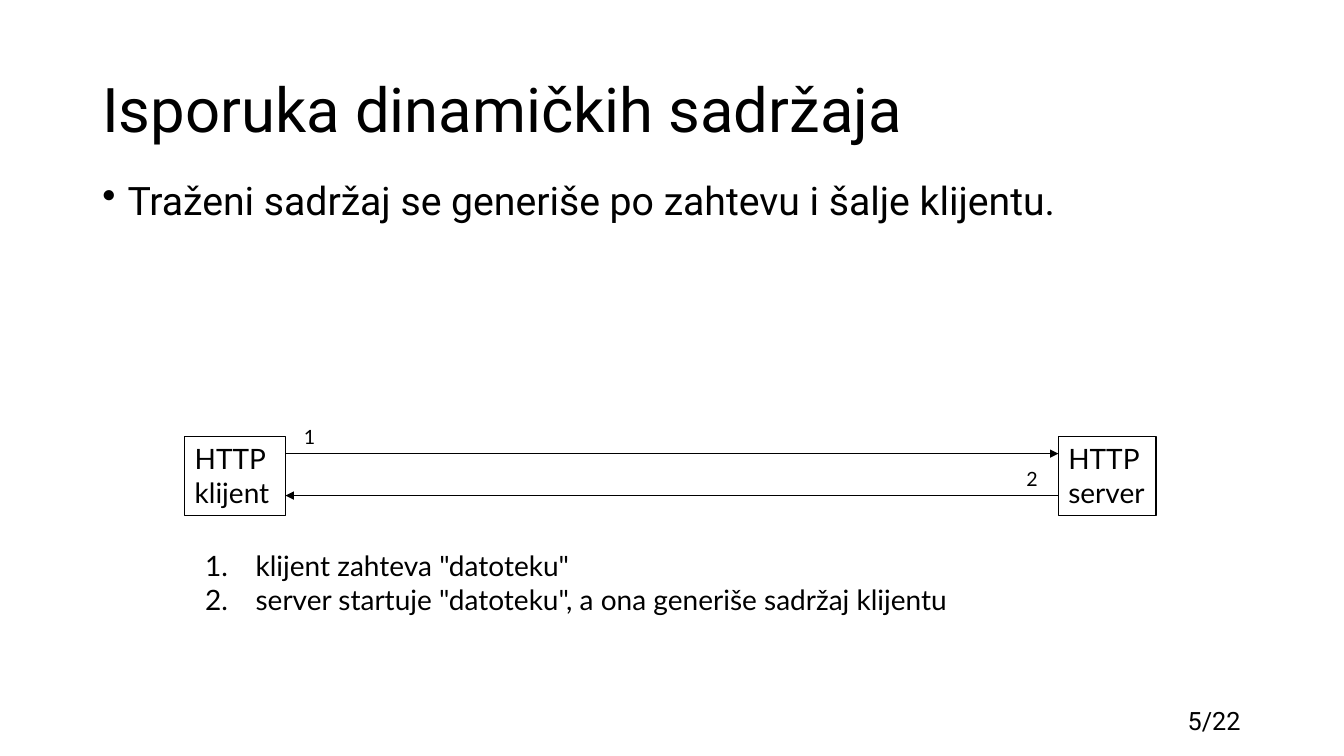
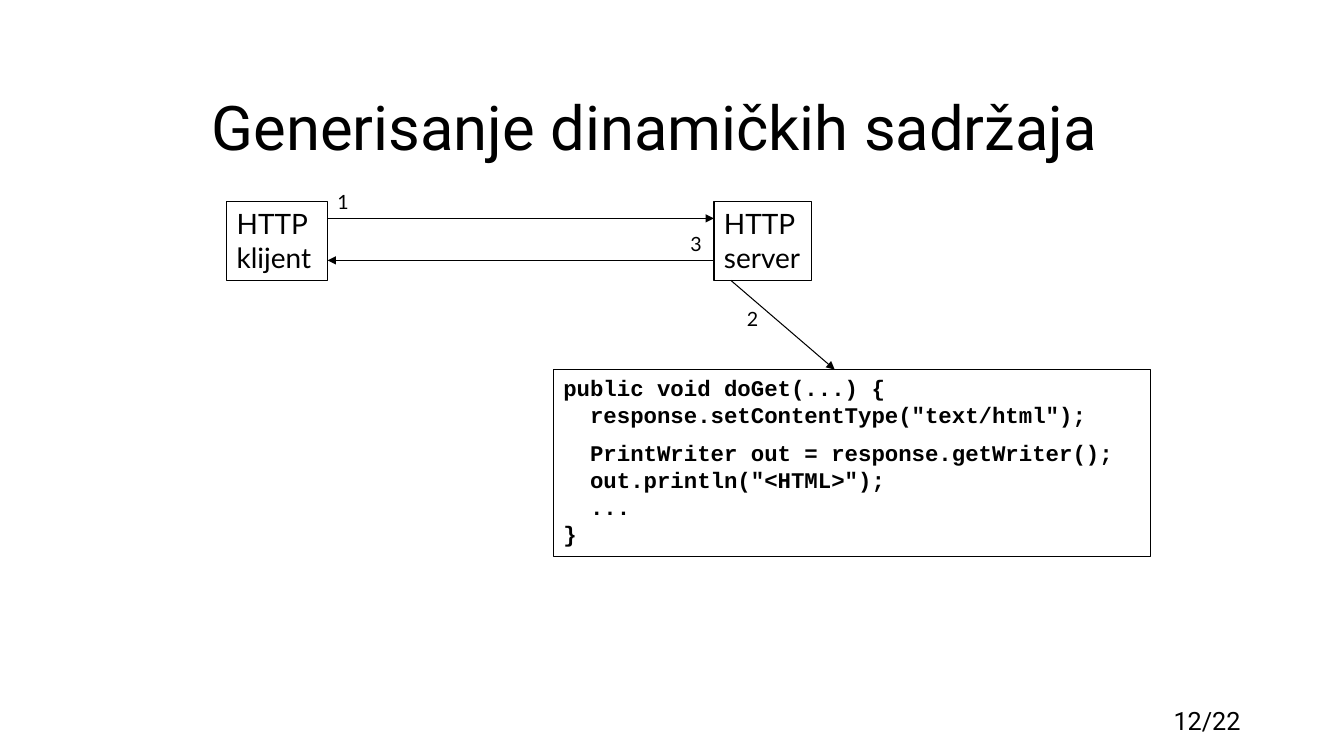
from copy import deepcopy

from lxml import etree
from pptx import Presentation, util as u
from pptx.dml import color
from pptx.enum import shapes, text
from pptx.oxml import ns

PX = 9525
INK = "000000"
HEAD, BODY, CODE = "Roboto", "Lato", "Courier New"
LEFT, RIGHT = text.PP_ALIGN.LEFT, text.PP_ALIGN.RIGHT
TOP, MID = text.MSO_ANCHOR.TOP, text.MSO_ANCHOR.MIDDLE


def px(*vals):
    """Turn pixel lengths into EMU."""
    return [u.Emu(val * PX) for val in vals]


def rgb(code):
    """Make a colour from a hex string."""
    return color.RGBColor.from_string(code)


def node(parent, tag, **attrs):
    """Append a drawing element."""
    return etree.SubElement(parent, ns.qn(tag), attrs)


def write(shape, lines, font, size, bold=False, align=LEFT, anchor=TOP, lead=None, gap=0):
    """Fill a shape with styled paragraphs."""
    frame = shape.text_frame
    frame.word_wrap = True
    frame.vertical_anchor = anchor
    for num, line in enumerate(lines):
        para = frame.add_paragraph() if num else frame.paragraphs[0]
        para.text = line
        para.alignment = align
        if lead:
            para.line_spacing = lead
        if num and gap:
            para.space_before = u.Pt(gap)
        for run in para.runs:
            run.font.name, run.font.size, run.font.bold = font, u.Pt(size), bold
            run.font.color.rgb = rgb(INK)
        for part in para._p.findall(ns.qn("a:br")):
            part.append(deepcopy(para.runs[0].font._element))
    return frame


def label(slide, box, lines, font, size, **style):
    """Add a text box."""
    return write(slide.shapes.add_textbox(*px(*box)), lines, font, size, **style)


def panel(slide, box, lines, font, size, **style):
    """Add an outlined box with text."""
    shape = slide.shapes.add_shape(shapes.MSO_SHAPE.RECTANGLE, *px(*box))
    shape.shadow.inherit = False
    shape.fill.background()
    shape.line.color.rgb = rgb(INK)
    shape.line.width = u.Pt(0.75)
    write(shape, lines, font, size, **style)


def mark(frame, indent, tag, **attrs):
    """Give each paragraph a hanging bullet or number."""
    for para in frame.paragraphs:
        props = para._p.get_or_add_pPr()
        props.set("marL", str(indent * PX))
        props.set("indent", str(-indent * PX))
        node(props, tag, **attrs)


def arrow(slide, start, end):
    """Draw a thin line with an arrowhead at its end."""
    line = slide.shapes.add_connector(shapes.MSO_CONNECTOR.STRAIGHT, *px(*start, *end))
    line.line.color.rgb = rgb(INK)
    line.line.width = u.Pt(0.75)
    node(line.line._get_or_add_ln(), "a:tailEnd", type="triangle")
    node(line._element.spPr, "a:effectLst")


def step(slide, left, top, num):
    """Place a step number."""
    label(slide, (left, top, 30, 32), [num], BODY, 14)


def exchange(slide, left, top, server, inset, reply):
    """Draw the client, the server and the two messages between them."""
    edge = left + 96
    panel(slide, (left, top, 96, 75), ["HTTP", "klijent"], BODY, 20)
    panel(slide, (server, top, 93, 75), ["HTTP", "server"], BODY, 20)
    arrow(slide, (edge, top + 16), (server, top + 16))
    arrow(slide, (server, top + 56), (edge, top + 56))
    step(slide, edge + inset, top - 16, "1")
    step(slide, server - 32 - inset, top + 24, reply)


def page(deck, box, title, num):
    """Add a slide with its title and page number."""
    slide = deck.slides.add_slide(deck.slide_layouts[6])
    label(slide, (903, 667, 288, 38), [f"{num}/22"], HEAD, 18, align=RIGHT)
    label(slide, box, [title], HEAD, 44, anchor=MID, lead=0.9)
    return slide


def delivery(deck):
    """Build the slide on delivering dynamic content."""
    slide = page(deck, (88, 38, 1104, 139), "Isporuka dinamičkih sadržaja", 5)
    intro = label(slide, (88, 168, 984, 123),
                  ["Traženi sadržaj se generiše po zahtevu i šalje klijentu."],
                  HEAD, 28, lead=0.9)
    mark(intro, 24, "a:buChar", char="•")
    exchange(slide, 176, 416, 1008, 8, "2")
    steps = label(slide, (186, 518, 884, 74),
                  ['klijent zahteva "datoteku"',
                   'server startuje "datoteku", a ona generiše sadržaj klijentu'],
                  BODY, 20)
    mark(steps, 48, "a:buAutoNum", type="arabicPeriod")


def making(deck):
    """Build the slide on generating dynamic content."""
    slide = page(deck, (192, 64, 896, 120), "Generisanje dinamičkih sadržaja", 12)
    exchange(slide, 216, 192, 680, 0, "3")
    step(slide, 702, 288, "2")
    code = ['public void doGet(...) {\n  response.setContentType("text/html");',
            '  PrintWriter out = response.getWriter();\n'
            '  out.println("<HTML>");\n  ...\n}']
    panel(slide, (527, 352, 569, 178), code, CODE, 16, bold=True, gap=8)
    arrow(slide, (696, 267), (795, 352))


def main():
    """Build and save the deck."""
    deck = Presentation()
    deck.slide_width, deck.slide_height = px(1280, 720)
    delivery(deck)
    making(deck)
    deck.save("out.pptx")


if __name__ == "__main__":
    main()
